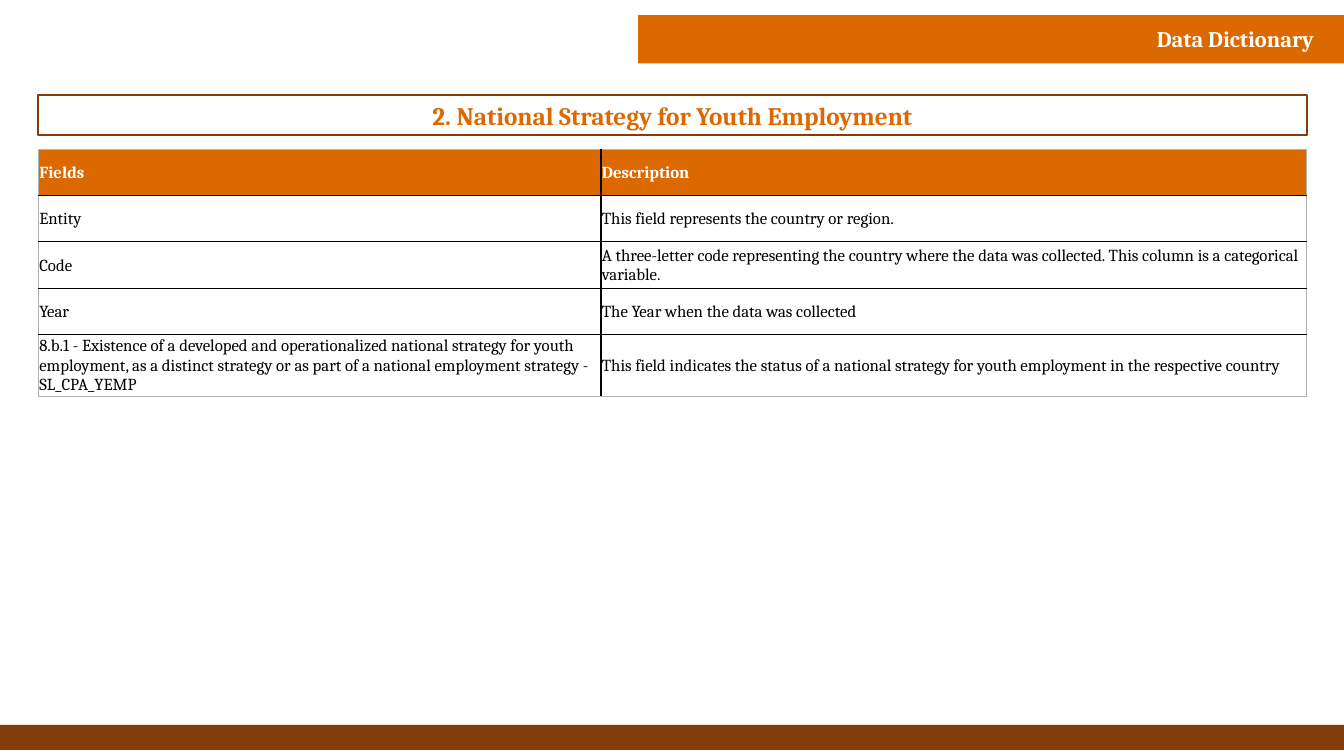
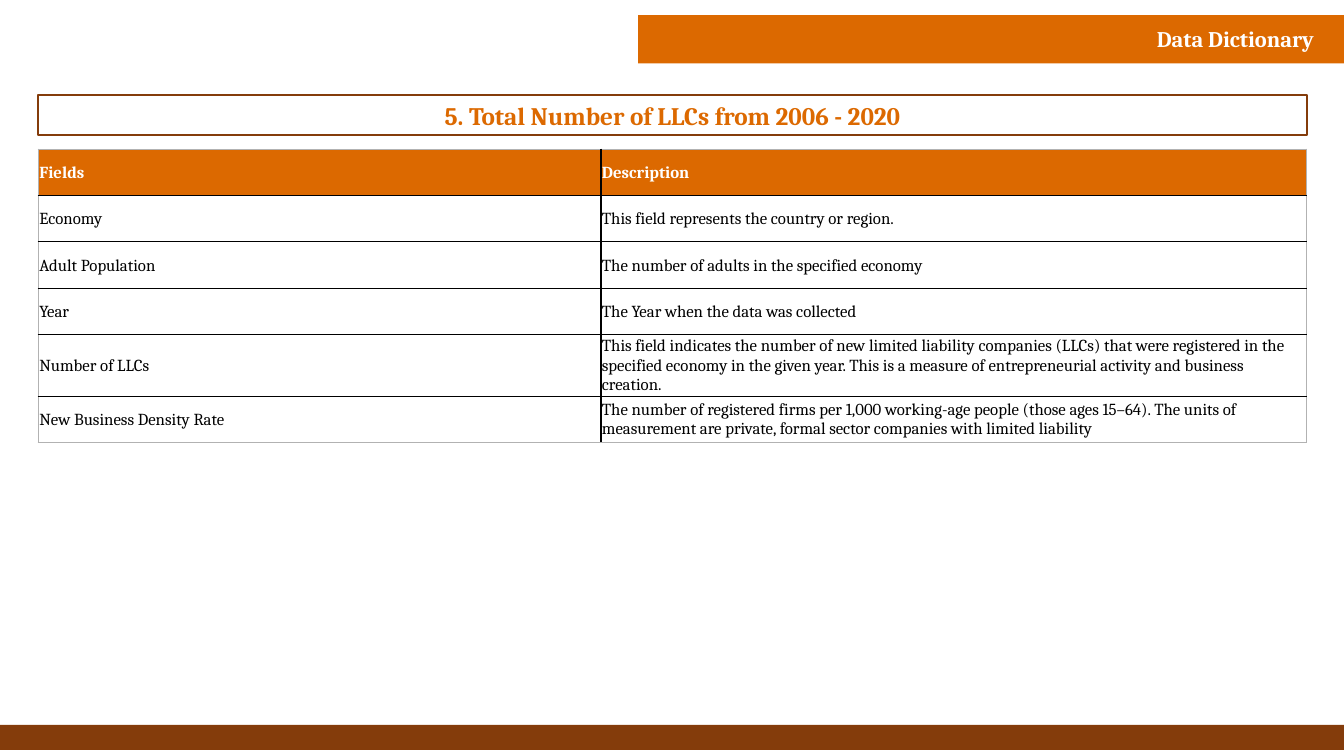
from pptx import Presentation
from pptx.dml.color import RGBColor
from pptx.enum import shapes, text
from pptx.oxml import parse_xml
from pptx.oxml.ns import nsdecls
from pptx.util import Inches, Pt

ORANGE = RGBColor(0xDC, 0x69, 0x00)
BROWN = RGBColor(0x84, 0x3C, 0x0B)
WHITE = RGBColor(0xFF, 0xFF, 0xFF)
BLACK = RGBColor(0x00, 0x00, 0x00)
GREY = RGBColor(0xB2, 0xB2, 0xB2)

FONT = "Cambria"
SECTION_FONT = {"size": Pt(16), "bold": True}
TITLE_FONT = {"size": Pt(18), "bold": True}
HEADER_FONT = {"size": Pt(12), "bold": True}
BODY_FONT = {"size": Pt(12), "bold": False}

CELL_FORMAT = {
    "margin_left": Inches(0.01),
    "margin_right": Inches(0.01),
    "margin_top": Inches(0.01),
    "margin_bottom": Inches(0),
    "vertical_anchor": text.MSO_ANCHOR.MIDDLE,
}

SLIDE_W, SLIDE_H = 13.33, 7.5
LEFT = 0.38
COL_WIDTHS = (5.58, 7)
CONTENT_W = sum(COL_WIDTHS)
ROW_H = 0.46

HEADER = ("Fields", "Description")
REGION = "This field represents the country or region."
YEAR = ("Year", "The Year when the data was collected")

DICTIONARIES = [
    ("2. National Strategy for Youth Employment", [
        ("Entity", REGION),
        ("Code", "A three-letter code representing the country where the data was "
                 "collected. This column is a categorical variable."),
        YEAR,
        ("8.b.1 - Existence of a developed and operationalized national strategy "
         "for youth employment, as a distinct strategy or as part of a national "
         "employment strategy - SL_CPA_YEMP",
         "This field indicates the status of a national strategy for youth "
         "employment in the respective country"),
    ]),
    ("5. Total Number of LLCs from 2006 - 2020", [
        ("Economy", REGION),
        ("Adult Population", "The number of adults in the specified economy"),
        YEAR,
        ("Number of LLCs",
         "This field indicates the number of new limited liability companies "
         "(LLCs) that were registered in the specified economy in the given year. "
         "This is a measure of entrepreneurial activity and business creation."),
        ("New Business Density Rate",
         "The number of registered firms per 1,000 working-age people (those ages "
         "15–64). The units of measurement are private, formal sector companies "
         "with limited liability"),
    ]),
]


def write(tf, content, style, color, align):
    p = tf.paragraphs[0]
    p.alignment = align
    r = p.add_run()
    r.text = content
    r.font.name = FONT
    r.font.color.rgb = color
    for name, value in style.items():
        setattr(r.font, name, value)


def add_band(s, left, top, width, height, color):
    sp = s.shapes.add_shape(shapes.MSO_SHAPE.RECTANGLE, Inches(left), Inches(top),
                            Inches(width), Inches(height))
    sp.shadow.inherit = False
    sp.fill.solid()
    sp.fill.fore_color.rgb = color
    sp.line.fill.background()


def add_frame(s):
    add_band(s, 0, 7.19, SLIDE_W, 0.25, BROWN)
    add_band(s, SLIDE_W - 7, 0.15, 7, 0.48, ORANGE)
    tf = s.shapes.add_textbox(Inches(8.82), Inches(0.2),
                              Inches(4.31), Inches(0.37)).text_frame
    tf.word_wrap = True
    write(tf, "Data Dictionary", SECTION_FONT, WHITE, text.PP_ALIGN.RIGHT)


def set_title(s, content):
    sp = s.shapes.title
    sp.left, sp.top = Inches(LEFT), Inches(0.94)
    sp.width, sp.height = Inches(CONTENT_W), Inches(0.4)
    sp.line.color.rgb = BROWN
    sp.line.width = Pt(1.5)
    tf = sp.text_frame
    tf.auto_size = text.MSO_AUTO_SIZE.NONE
    tf.vertical_anchor = text.MSO_ANCHOR.MIDDLE
    write(tf, content, TITLE_FONT, ORANGE, text.PP_ALIGN.CENTER)


def set_borders(cell, outer):
    tc_pr = cell._tc.get_or_add_tcPr()
    for side, is_outer in outer.items():
        color = GREY if is_outer else BLACK
        tc_pr.append(parse_xml(
            f'<a:ln{side} {nsdecls("a")} w="{Pt(1)}"><a:solidFill>'
            f'<a:srgbClr val="{color}"/></a:solidFill></a:ln{side}>'))


def fill_cell(cell, content, is_header):
    for name, value in CELL_FORMAT.items():
        setattr(cell, name, value)
    if is_header:
        cell.fill.solid()
        cell.fill.fore_color.rgb = ORANGE
    else:
        cell.fill.background()
    style, color = (HEADER_FONT, WHITE) if is_header else (BODY_FONT, BLACK)
    write(cell.text_frame, content, style, color, text.PP_ALIGN.LEFT)


def add_dictionary(s, fields):
    rows = [HEADER, *fields]
    table = s.shapes.add_table(len(rows), len(HEADER), Inches(LEFT), Inches(1.48),
                               Inches(CONTENT_W), Inches(ROW_H * len(rows))).table
    table.horz_banding = False
    for column, width in zip(table.columns, COL_WIDTHS):
        column.width = Inches(width)
    for i, row in enumerate(rows):
        table.rows[i].height = Inches(ROW_H)
        for j, content in enumerate(row):
            cell = table.cell(i, j)
            set_borders(cell, {"L": j == 0, "R": j == len(row) - 1,
                               "T": i == 0, "B": i == len(rows) - 1})
            fill_cell(cell, content, i == 0)


def main():
    prs = Presentation()
    prs.slide_width, prs.slide_height = Inches(SLIDE_W), Inches(SLIDE_H)
    for title, fields in DICTIONARIES:
        s = prs.slides.add_slide(prs.slide_layouts[5])
        add_frame(s)
        set_title(s, title)
        add_dictionary(s, fields)
    prs.save("out.pptx")


if __name__ == "__main__":
    main()
